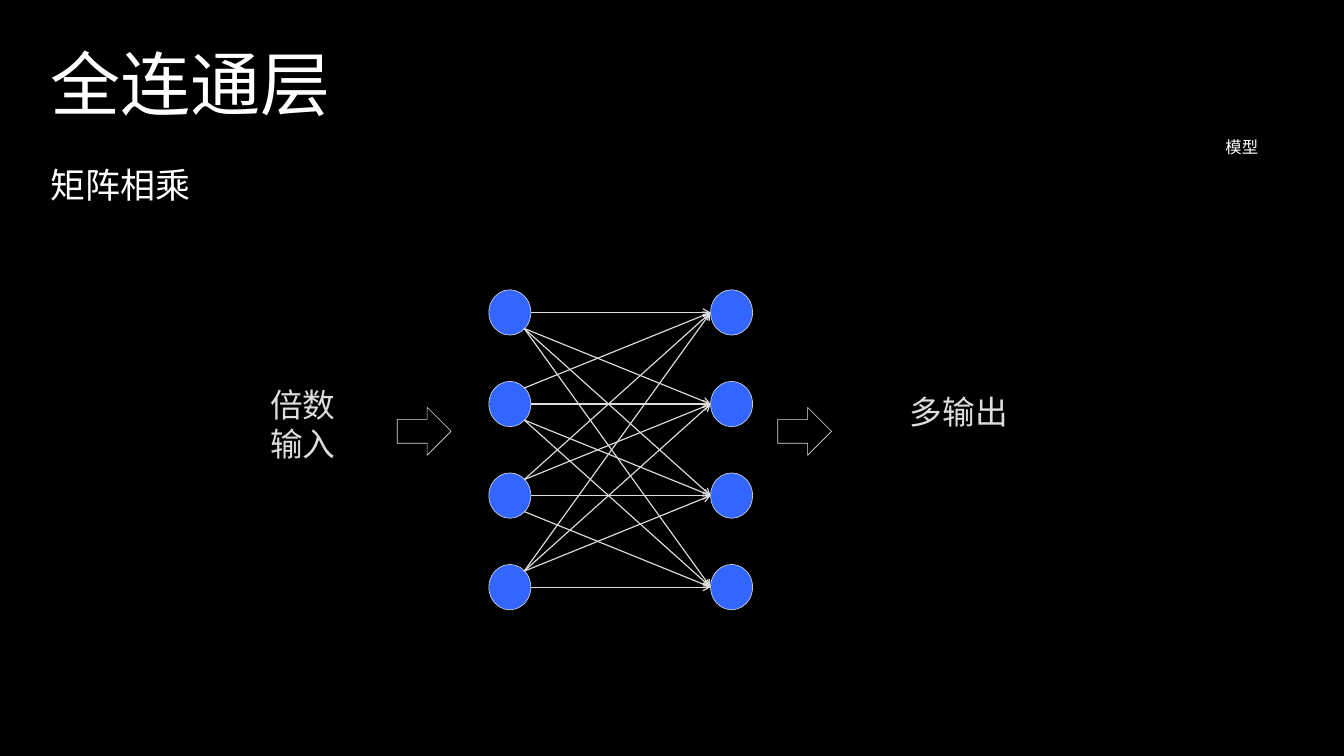
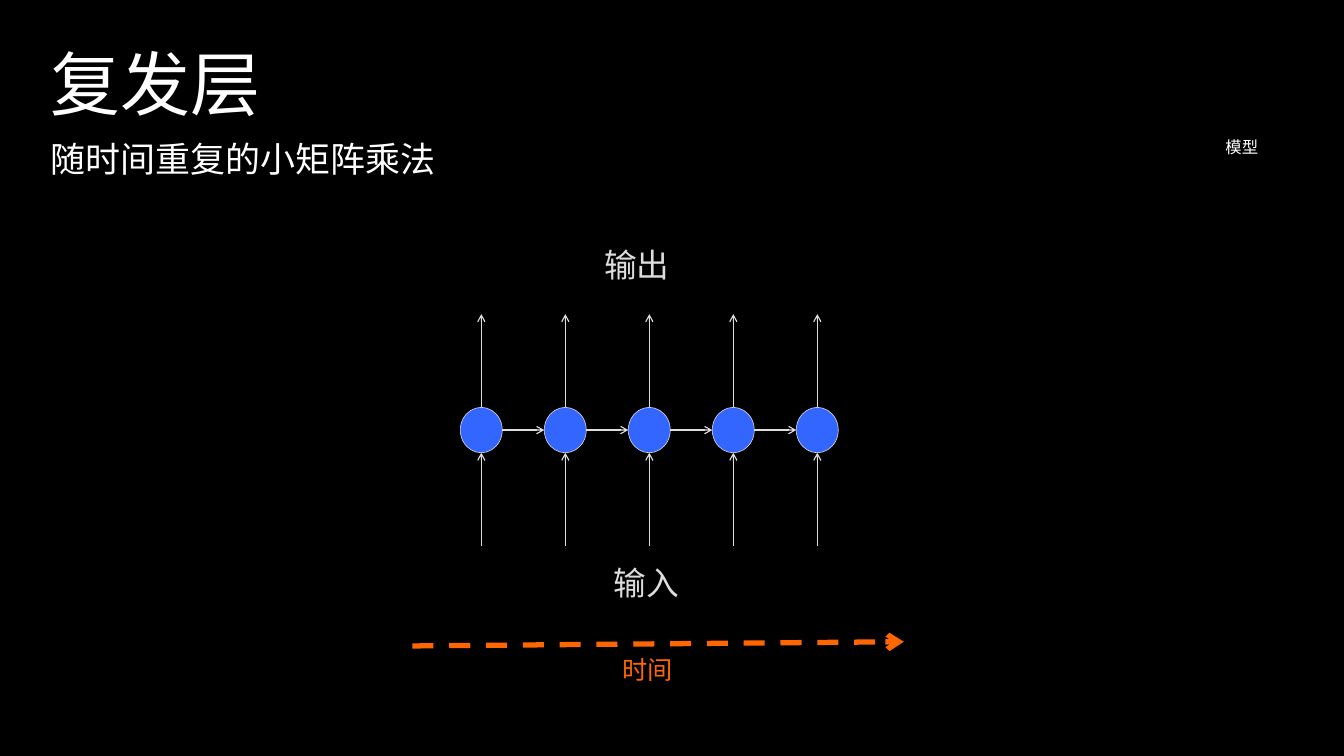
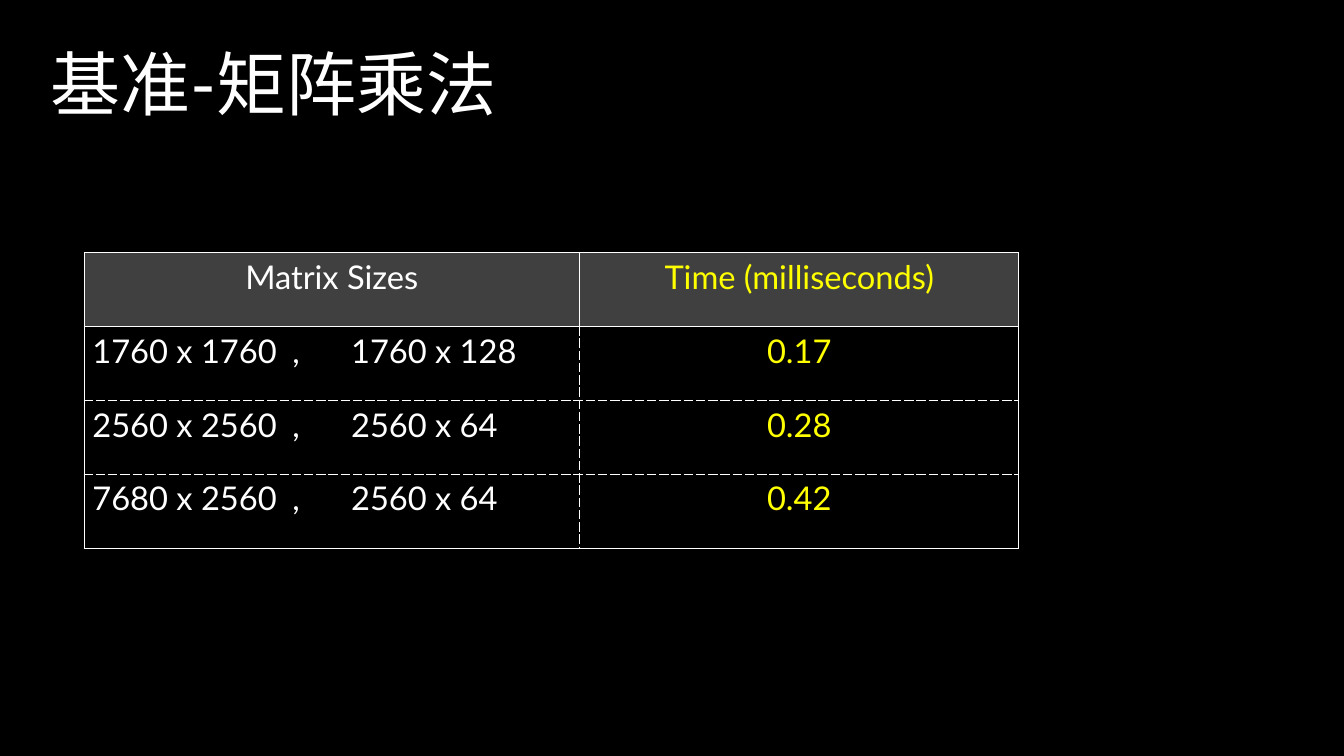
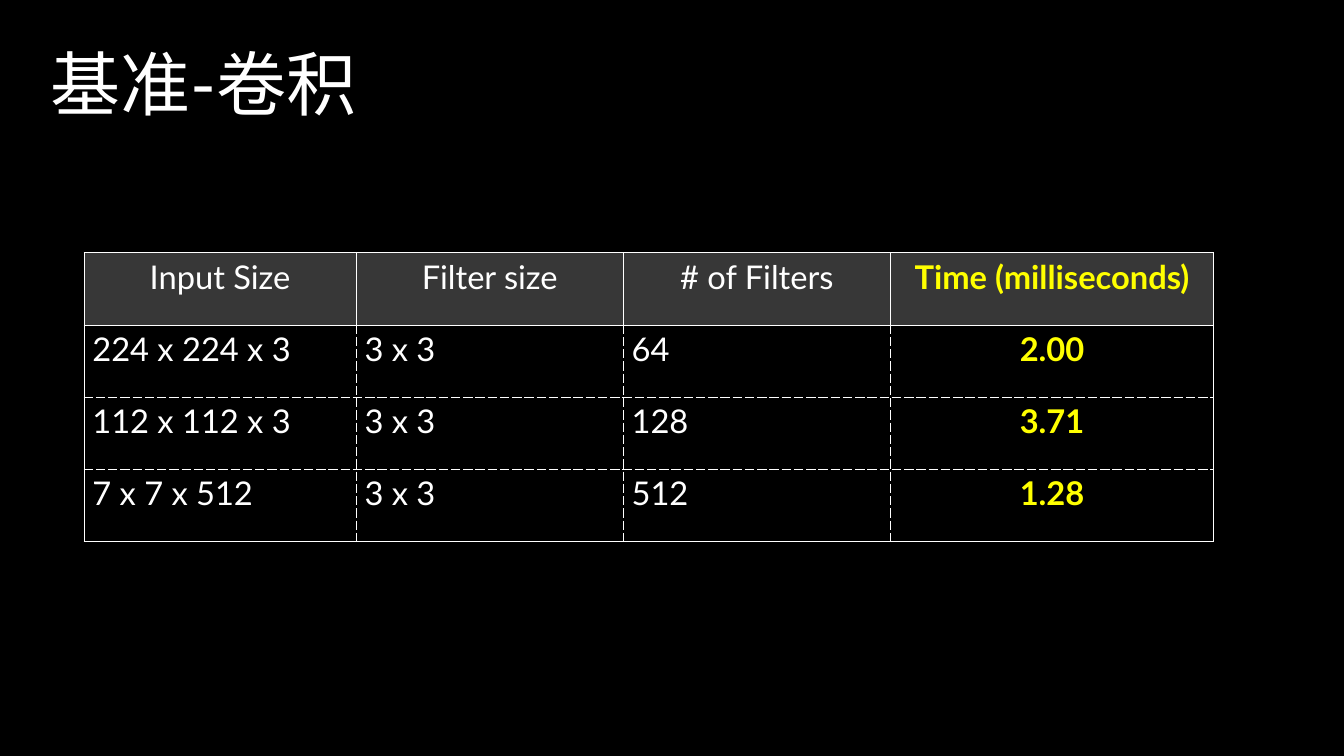
from lxml.etree import SubElement
from pptx import Presentation
from pptx.dml.color import RGBColor
from pptx.enum.dml import MSO_LINE
from pptx.enum.shapes import MSO_CONNECTOR, MSO_SHAPE
from pptx.enum.text import MSO_ANCHOR, MSO_AUTO_SIZE, PP_ALIGN
from pptx.oxml.ns import qn
from pptx.util import Inches, Pt

BLACK = RGBColor(0x00, 0x00, 0x00)
WHITE = RGBColor(0xFF, 0xFF, 0xFF)
GREY = RGBColor(0xDD, 0xDD, 0xDD)
BLUE = RGBColor(0x33, 0x66, 0xFF)
ORANGE = RGBColor(0xFF, 0x66, 0x00)
YELLOW = RGBColor(0xFF, 0xFF, 0x00)
HEAD_MATMUL = RGBColor(0x40, 0x40, 0x40)
HEAD_CONV = RGBColor(0x37, 0x37, 0x37)
FONT = "Lato"
NODE_W, NODE_H = 0.5, 0.54


def style(p, size, color, bold=False):
    """Format every run of a paragraph."""
    for r in p.runs:
        r.font.name = FONT
        r.font.size = Pt(size)
        r.font.color.rgb = color
        r.font.bold = bold
        SubElement(r.font._element, qn("a:ea"), typeface=FONT)


def fill_placeholder(sp, text, box, size):
    """Place a title or body placeholder and set its text."""
    sp.left, sp.top, sp.width, sp.height = map(Inches, box)
    tf = sp.text_frame
    tf.text = text
    tf.word_wrap = True
    tf.auto_size = MSO_AUTO_SIZE.NONE
    tf.vertical_anchor = MSO_ANCHOR.TOP
    tf.margin_left = tf.margin_right = tf.margin_top = tf.margin_bottom = Inches(0.1)
    p = tf.paragraphs[0]
    p.alignment = PP_ALIGN.LEFT
    p.line_spacing = 0.9
    p.space_before = Pt(0)
    pPr = p._p.get_or_add_pPr()
    pPr.set("marL", "0")
    pPr.set("indent", "0")
    SubElement(pPr, qn("a:buNone"))
    style(p, size, WHITE)


def add_titled_slide(prs, title):
    """Add a slide that has only a title."""
    s = prs.slides.add_slide(prs.slide_layouts[5])
    fill_placeholder(s.shapes.title, title, (0.5, 0.5, 15, 1.2), 60)
    return s


def add_model_slide(prs, title, subtitle, body_top, body_height):
    """Add a slide with a title, a subtitle and the section label."""
    s = prs.slides.add_slide(prs.slide_layouts[1])
    fill_placeholder(s.shapes.title, title, (0.5, 0.5, 15, 1.2), 60)
    fill_placeholder(s.placeholders[1], subtitle, (0.5, body_top, 15, body_height), 30)
    add_label(s, "模型", (14.49, 1.58, 0.89, 0.34), 14, WHITE, PP_ALIGN.LEFT)
    return s


def add_label(s, text, box, size=28, color=GREY, align=PP_ALIGN.CENTER):
    """Add a text box, one paragraph for each line."""
    tf = s.shapes.add_textbox(*map(Inches, box)).text_frame
    tf.word_wrap = True
    tf.text = text
    for p in tf.paragraphs:
        p.alignment = align
        style(p, size, color)


def add_outlined(s, kind, box, fill=None):
    """Add a preset shape with a thin grey outline."""
    sp = s.shapes.add_shape(kind, *map(Inches, box))
    sp.shadow.inherit = False
    if fill is None:
        sp.fill.background()
    else:
        sp.fill.solid()
        sp.fill.fore_color.rgb = fill
    sp.line.color.rgb = GREY
    sp.line.width = Pt(0.5)


def add_arrow(s, start, end, color=GREY, width=1, dash=None):
    """Add a straight arrow between two points."""
    c = s.shapes.add_connector(MSO_CONNECTOR.STRAIGHT, *map(Inches, (*start, *end)))
    c.line.color.rgb = color
    c.line.width = Pt(width)
    if dash is not None:
        c.line.dash_style = dash
    SubElement(c.line._get_or_add_ln(), qn("a:tailEnd"), type="arrow")
    SubElement(c._element.spPr, qn("a:effectLst"))


def add_dense_network(s, x, y, rows=4, pitch=1.09, span=2.64):
    """Draw two columns of nodes, each left node joined to each right node."""
    for i in range(rows):
        for left in (x, x + span):
            add_outlined(s, MSO_SHAPE.OVAL, (left, y + i * pitch, NODE_W, NODE_H), BLUE)
    for i in range(rows):
        for j in range(rows):
            side = (j > i) - (j < i)
            start_x = x + NODE_W - 0.08 * abs(side)
            start_y = y + i * pitch + NODE_H / 2 + 0.19 * side
            add_arrow(s, (start_x, start_y), (x + span, y + j * pitch + NODE_H / 2))


def add_recurrent_chain(s, x, y, steps=5, pitch=1.0, reach=1.11):
    """Draw a row of nodes with inputs below, outputs above and links between."""
    for i in range(steps):
        left = x + i * pitch
        mid_x, mid_y = left + NODE_W / 2, y + NODE_H / 2
        add_outlined(s, MSO_SHAPE.OVAL, (left, y, NODE_W, NODE_H), BLUE)
        add_arrow(s, (mid_x, y), (mid_x, y - reach))
        add_arrow(s, (mid_x, y + NODE_H + reach), (mid_x, y + NODE_H))
        if i < steps - 1:
            add_arrow(s, (left + NODE_W, mid_y), (left + pitch, mid_y))


def set_border(cell, side, dashed):
    """Draw one side of a cell in white, solid or dashed."""
    ln = SubElement(cell._tc.get_or_add_tcPr(), qn(f"a:ln{side}"), w=str(Pt(1)))
    SubElement(SubElement(ln, qn("a:solidFill")), qn("a:srgbClr"), val=str(WHITE))
    SubElement(ln, qn("a:prstDash"), val="sysDash" if dashed else "solid")


def add_benchmark(s, x, y, widths, row_height, rows, head_fill, bold_time=False, stops=()):
    """Add a table with a filled header, dashed inner lines and a yellow last column."""
    n_rows, n_cols = len(rows), len(widths)
    box = map(Inches, (x, y, sum(widths), row_height * n_rows))
    table = s.shapes.add_table(n_rows, n_cols, *box).table
    table.horz_banding = False
    for column, width in zip(table.columns, widths):
        column.width = Inches(width)
    for i, row in enumerate(rows):
        table.rows[i].height = Inches(row_height)
        for j, text in enumerate(row):
            cell = table.cell(i, j)
            header, last = i == 0, j == n_cols - 1
            set_border(cell, "L", not header and j > 0)
            set_border(cell, "R", not header and not last)
            set_border(cell, "T", i > 1)
            set_border(cell, "B", 0 < i < n_rows - 1)
            if header:
                cell.fill.solid()
                cell.fill.fore_color.rgb = head_fill
            else:
                cell.fill.background()
            p = cell.text_frame.paragraphs[0]
            p.text = text
            p.alignment = PP_ALIGN.CENTER if header or last else PP_ALIGN.LEFT
            if "\t" in text:
                tabs = SubElement(p._p.get_or_add_pPr(), qn("a:tabLst"))
                for stop in stops:
                    SubElement(tabs, qn("a:tab"), pos=str(Inches(stop)), algn="l")
            style(p, 28, YELLOW if last else WHITE, last and bold_time)


def build_dense(prs):
    """Build the fully connected layer slide."""
    s = add_model_slide(prs, "全连通层", "矩阵相乘", 1.9, 6.6)
    add_dense_network(s, 5.82, 3.45)
    for left in (4.73, 9.26):
        add_outlined(s, MSO_SHAPE.RIGHT_ARROW, (left, 4.85, 0.64, 0.57))
    add_label(s, "倍数\n输入", (2.46, 4.53, 2.29, 1.04))
    add_label(s, "多输出", (10.59, 4.61, 1.65, 1.04))


def build_recurrent(prs):
    """Build the recurrent layer slide."""
    s = add_model_slide(prs, "复发层", "随时间重复的小矩阵乘法", 1.59, 0.61)
    add_recurrent_chain(s, 5.48, 4.85)
    add_arrow(s, (4.91, 7.69), (10.76, 7.64), ORANGE, 4.5, MSO_LINE.DASH)
    add_label(s, "时间", (6.89, 7.74, 1.64, 0.46), 21.6, ORANGE)
    add_label(s, "输入", (6.94, 6.65, 1.51, 0.57))
    add_label(s, "输出", (6.7, 2.86, 1.76, 0.57))


def build_matmul(prs):
    """Build the matrix multiplication benchmark slide."""
    s = add_titled_slide(prs, "基准-矩阵乘法")
    rows = [
        ("Matrix Sizes", "Time (milliseconds)"),
        ("1760 x 1760\t,\t1760 x 128", "0.17"),
        ("2560 x 2560\t,\t2560 x 64", "0.28"),
        ("7680 x 2560\t,\t2560 x 64", "0.42"),
    ]
    add_benchmark(s, 1, 3.01, (5.9, 5.23), 0.88, rows, HEAD_MATMUL, stops=(2.38, 3.08))


def build_convolution(prs):
    """Build the convolution benchmark slide."""
    s = add_titled_slide(prs, "基准-卷积")
    rows = [
        ("Input Size", "Filter size", "# of Filters", "Time (milliseconds)"),
        ("224 x 224 x 3", "3 x 3", "64", "2.00"),
        ("112 x 112 x 3", "3 x 3", "128", "3.71"),
        ("7 x 7 x 512", "3 x 3", "512", "1.28"),
    ]
    widths = (3.24, 3.18, 3.18, 3.85)
    add_benchmark(s, 1, 3.01, widths, 0.86, rows, HEAD_CONV, bold_time=True)


def main():
    """Build and save the presentation."""
    prs = Presentation()
    prs.slide_width, prs.slide_height = Inches(16), Inches(9)
    background = prs.slide_master.background.fill
    background.solid()
    background.fore_color.rgb = BLACK
    for build in (build_dense, build_recurrent, build_matmul, build_convolution):
        build(prs)
    prs.save("out.pptx")


if __name__ == "__main__":
    main()
